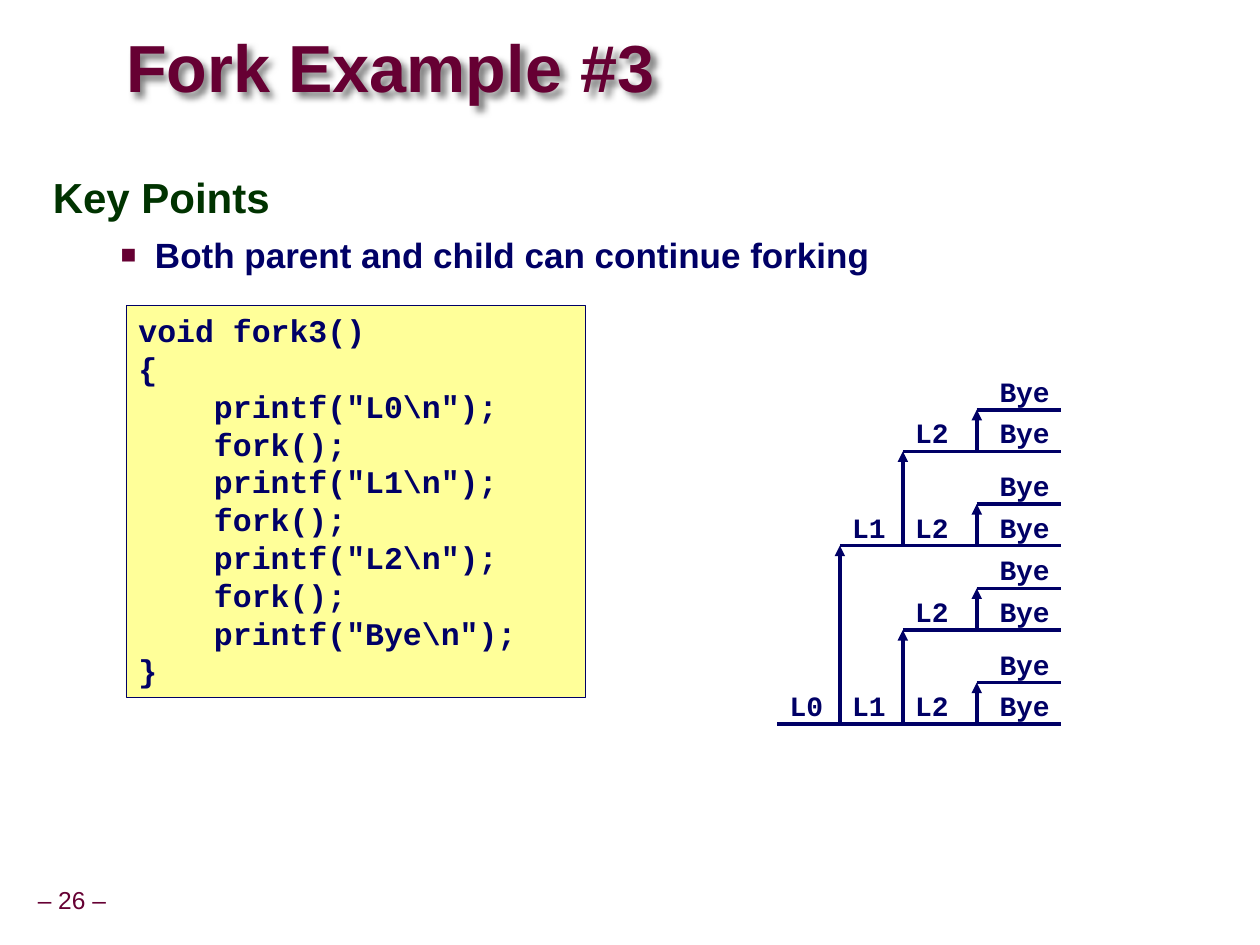
from dataclasses import dataclass

from lxml.etree import SubElement
from pptx import Presentation
from pptx.dml.color import RGBColor
from pptx.enum.shapes import MSO_CONNECTOR, MSO_SHAPE
from pptx.enum.text import MSO_ANCHOR, MSO_AUTO_SIZE, PP_ALIGN
from pptx.oxml.ns import qn
from pptx.util import Cm, Pt


@dataclass(frozen=True)
class Theme:
    maroon: str = "660033"
    navy: str = "000066"
    green: str = "003300"
    code_fill: str = "FFFF99"
    shadow: str = "808080"
    sans: str = "Arial"
    mono: str = "Courier New"
    title_size: float = 38
    heading_size: float = 24
    point_size: float = 20
    code_size: float = 18
    label_size: float = 16
    number_size: float = 14


CODE = r'''void fork3()
{
    printf("L0\n");
    fork();
    printf("L1\n");
    fork();
    printf("L2\n");
    fork();
    printf("Bye\n");
}'''

# One entry per stage of the process tree, lengths in cm
STAGES = ["L0", "L1", "L2", "Bye"]
STAGE_LEFTS = [15.67, 16.93, 18.2, 19.69]
LABEL_LEFTS = STAGE_LEFTS[:3] + [19.9]
LABEL_WIDTHS = [1.2, 1.2, 1.2, 1.52]
FORK_RISES = [3.6, 1.9, 0.84]
TREE_RIGHT = 21.38
TREE_BOTTOM = 14.6


class SlideBuilder:
    def __init__(self, slide, theme):
        self.slide = slide
        self.theme = theme

    def place(self, shape, left, top, width, height):
        shape.left, shape.top = Cm(left), Cm(top)
        shape.width, shape.height = Cm(width), Cm(height)

    def add_text(self, paragraph, text, size, color, face, bold=True):
        run = paragraph.add_run()
        run.text = text
        run.font.name = face
        run.font.size = Pt(size)
        run.font.bold = bold
        run.font.color.rgb = RGBColor.from_string(color)

    def effects(self, shape):
        """Add an empty effect list, which turns off inherited shadows."""
        return SubElement(shape._element.spPr, qn("a:effectLst"))

    def title(self, text):
        heading = self.slide.shapes.title
        self.place(heading, 2.54, 0.64, 15.42, 1.6)
        frame = heading.text_frame
        frame.auto_size = MSO_AUTO_SIZE.NONE
        frame.vertical_anchor = MSO_ANCHOR.MIDDLE
        frame.margin_left = frame.margin_right = 0
        frame.margin_top = frame.margin_bottom = 0
        paragraph = frame.paragraphs[0]
        paragraph.alignment = PP_ALIGN.LEFT
        paragraph.line_spacing = 0.87
        self.add_text(paragraph, text, self.theme.title_size,
                      self.theme.maroon, self.theme.sans)
        shadow = SubElement(self.effects(heading), qn("a:outerShdw"),
                            blurRad=str(Pt(4)), dist=str(Pt(4)),
                            dir="2700000", rotWithShape="0")
        SubElement(shadow, qn("a:srgbClr"), val=self.theme.shadow)

    def key_points(self, heading, points):
        body = self.slide.placeholders[1]
        self.place(body, 0.81, 3.4, 23.09, 14.5)
        frame = body.text_frame
        frame.auto_size = MSO_AUTO_SIZE.NONE
        first = frame.paragraphs[0]
        self.indent(first, 1.07, 1.07)
        SubElement(first._p.get_or_add_pPr(), qn("a:buNone"))
        first.line_spacing = 0.95
        first.space_before = Pt(0)
        self.add_text(first, heading, self.theme.heading_size,
                      self.theme.green, self.theme.sans)
        for point in points:
            paragraph = frame.add_paragraph()
            paragraph.level = 1
            self.indent(paragraph, 2.06, 0.69)
            self.square_bullet(paragraph)
            paragraph.space_before = Pt(6)
            self.add_text(paragraph, point, self.theme.point_size,
                          self.theme.navy, self.theme.sans)

    def indent(self, paragraph, left, hanging):
        properties = paragraph._p.get_or_add_pPr()
        properties.set("marL", str(Cm(left)))
        properties.set("indent", str(-Cm(hanging)))

    def square_bullet(self, paragraph):
        properties = paragraph._p.get_or_add_pPr()
        color = SubElement(properties, qn("a:buClr"))
        SubElement(color, qn("a:srgbClr"), val=self.theme.maroon)
        SubElement(properties, qn("a:buSzPct"), val="75000")
        SubElement(properties, qn("a:buFont"), typeface=self.theme.sans)
        SubElement(properties, qn("a:buChar"), char="■")

    def code_box(self, code, left, top, width, height):
        box = self.slide.shapes.add_shape(
            MSO_SHAPE.RECTANGLE, Cm(left), Cm(top), Cm(width), Cm(height))
        box.shadow.inherit = False
        box.fill.solid()
        box.fill.fore_color.rgb = RGBColor.from_string(self.theme.code_fill)
        box.line.color.rgb = RGBColor.from_string(self.theme.navy)
        box.line.width = Pt(0.25)
        frame = box.text_frame
        frame.word_wrap = False
        frame.vertical_anchor = MSO_ANCHOR.TOP
        for number, code_line in enumerate(code.splitlines()):
            paragraph = frame.add_paragraph() if number else frame.paragraphs[0]
            paragraph.alignment = PP_ALIGN.LEFT
            paragraph.line_spacing = Pt(1.2 * self.theme.code_size)
            self.add_text(paragraph, code_line, self.theme.code_size,
                          self.theme.navy, self.theme.mono)

    def label(self, text, left, top, width):
        box = self.slide.shapes.add_textbox(
            Cm(left), Cm(top), Cm(width), Cm(0.94))
        box.text_frame.word_wrap = False
        self.add_text(box.text_frame.paragraphs[0], text,
                      self.theme.label_size, self.theme.navy, self.theme.mono)

    def line(self, x1, y1, x2, y2, arrow=False):
        stroke = self.slide.shapes.add_connector(
            MSO_CONNECTOR.STRAIGHT, Cm(x1), Cm(y1), Cm(x2), Cm(y2))
        stroke.line.color.rgb = RGBColor.from_string(self.theme.navy)
        stroke.line.width = Pt(2)
        if arrow:
            SubElement(stroke.line._get_or_add_ln(), qn("a:tailEnd"),
                       type="triangle")
        self.effects(stroke)

    def process(self, stage, y):
        """Draw a process starting at a stage, and every child it forks."""
        self.line(STAGE_LEFTS[stage], y, TREE_RIGHT, y)
        for step in range(stage, len(STAGES)):
            self.label(STAGES[step], LABEL_LEFTS[step], y - 0.84,
                       LABEL_WIDTHS[step])
            if step < len(FORK_RISES):
                child_y = y - FORK_RISES[step]
                fork_x = STAGE_LEFTS[step + 1]
                self.line(fork_x, y, fork_x, child_y, arrow=True)
                self.process(step + 1, child_y)

    def page_number(self, text):
        box = self.slide.shapes.add_textbox(
            Cm(0.61), Cm(17.78), Cm(1.68), Cm(0.79))
        frame = box.text_frame
        frame.word_wrap = False
        frame.vertical_anchor = MSO_ANCHOR.MIDDLE
        frame.margin_left = frame.margin_right = Cm(0.13)
        paragraph = frame.paragraphs[0]
        paragraph.alignment = PP_ALIGN.CENTER
        paragraph.line_spacing = 0.9
        self.add_text(paragraph, text, self.theme.number_size,
                      self.theme.maroon, self.theme.sans, bold=False)


def main():
    deck = Presentation()
    deck.slide_width, deck.slide_height = Cm(25.4), Cm(19.05)
    builder = SlideBuilder(deck.slides.add_slide(deck.slide_layouts[1]), Theme())
    builder.title("Fork Example #3")
    builder.key_points("Key Points",
                       ["Both parent and child can continue forking"])
    builder.code_box(CODE, 2.54, 6.15, 9.25, 7.9)
    builder.process(0, TREE_BOTTOM)
    builder.page_number("– 26 –")
    deck.save("out.pptx")


if __name__ == "__main__":
    main()
